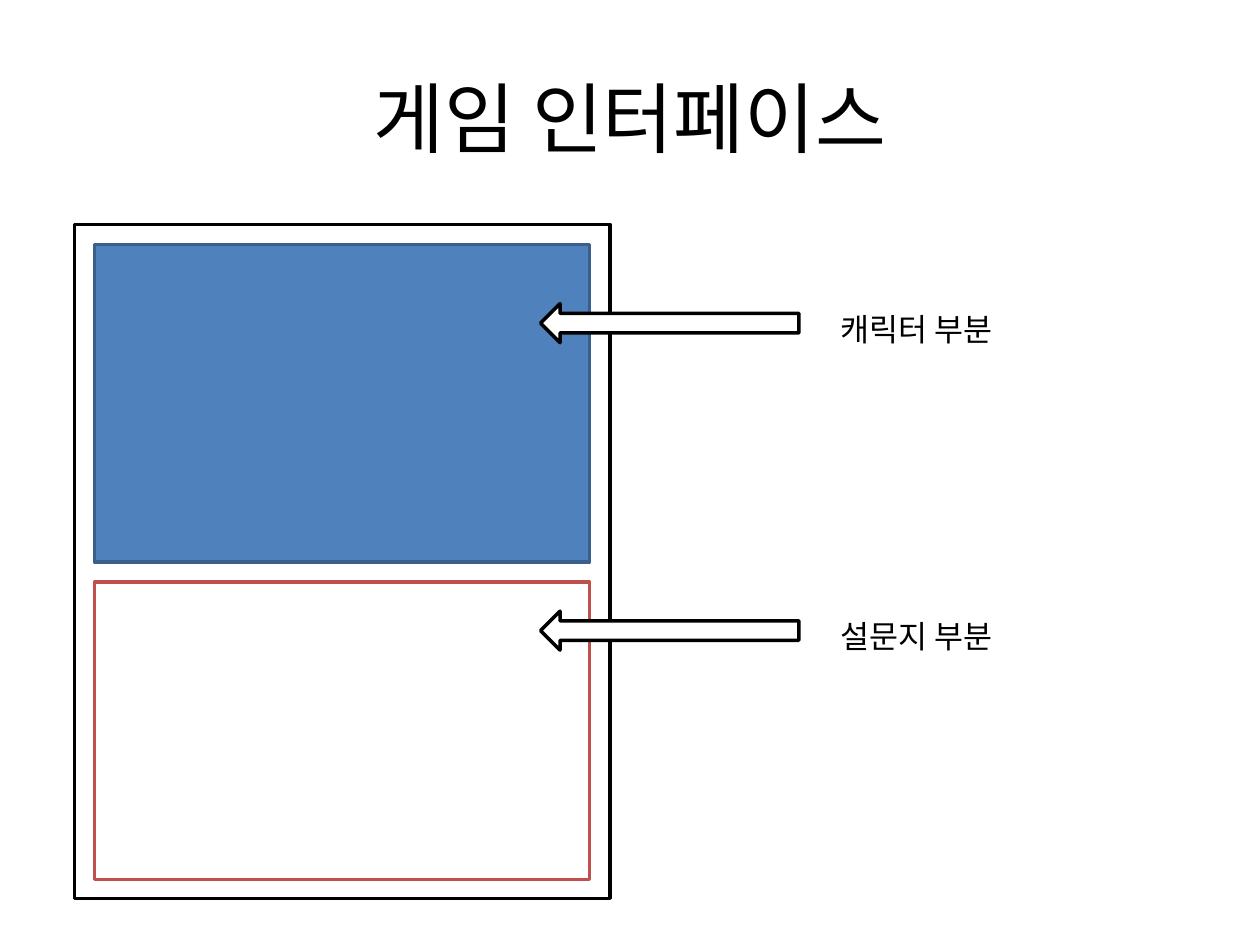
from lxml import etree
from pptx import Presentation
from pptx.dml.color import RGBColor
from pptx.enum import shapes, text
from pptx.oxml import ns
from pptx.util import Inches, Pt

FONT = "Noto Sans CJK KR"
HUES = {"ink": "000000", "paper": "FFFFFF", "blue": "4F81BD",
        "navy": "3A5F8C", "red": "C0504D"}
TITLE = "게임 인터페이스"
FRAME = (0.59, 1.78, 4.25, 5.35)
GAP = 0.16
PANELS = [
    ("캐릭터 부분", 2.52, "blue", "navy", 2.41),
    ("설문지 부분", 2.36, "paper", "red", 4.85),
]


def tint(name):
    return RGBColor.from_string(HUES[name])


def write(frame, words, size=18, color="ink", align=None, anchor=None, wrap=True):
    frame.word_wrap = wrap
    if anchor is not None:
        frame.vertical_anchor = anchor
    para = frame.paragraphs[0]
    if align is not None:
        para.alignment = align
    run = para.add_run()
    run.text = words
    run.font.size = Pt(size)
    run.font.name = FONT
    run.font.color.rgb = tint(color)
    east = etree.SubElement(run.font._element, ns.qn("a:ea"))
    east.set("typeface", FONT)


def draw(slide, kind, box, fill="paper", line="ink"):
    shape = slide.shapes.add_shape(kind, *map(Inches, box))
    shape.shadow.inherit = False
    shape.fill.solid()
    shape.fill.fore_color.rgb = tint(fill)
    shape.line.color.rgb = tint(line)
    shape.line.width = Pt(2)


def main():
    deck = Presentation()
    deck.slide_width, deck.slide_height = Inches(10), Inches(7.5)
    slide = deck.slides.add_slide(deck.slide_layouts[5])

    title = slide.shapes.title
    title.left, title.top = Inches(0.5), Inches(0.3)
    title.width, title.height = Inches(9), Inches(1.25)
    write(title.text_frame, TITLE, size=44, align=text.PP_ALIGN.CENTER,
          anchor=text.MSO_ANCHOR.MIDDLE)

    kinds = shapes.MSO_SHAPE
    draw(slide, kinds.RECTANGLE, FRAME)
    left, top, width, _ = FRAME
    top += GAP
    for _, high, fill, line, _ in PANELS:
        draw(slide, kinds.RECTANGLE, (left + GAP, top, width - 2 * GAP, high), fill, line)
        top += high + GAP

    for label, _, _, _, mark in PANELS:
        draw(slide, kinds.LEFT_ARROW, (4.29, mark, 2.05, 0.31))
        box = slide.shapes.add_textbox(*map(Inches, (6.57, mark, 1.55, 0.4)))
        write(box.text_frame, label, wrap=False)
        box.text_frame.auto_size = text.MSO_AUTO_SIZE.SHAPE_TO_FIT_TEXT

    deck.save("out.pptx")


if __name__ == "__main__":
    main()
